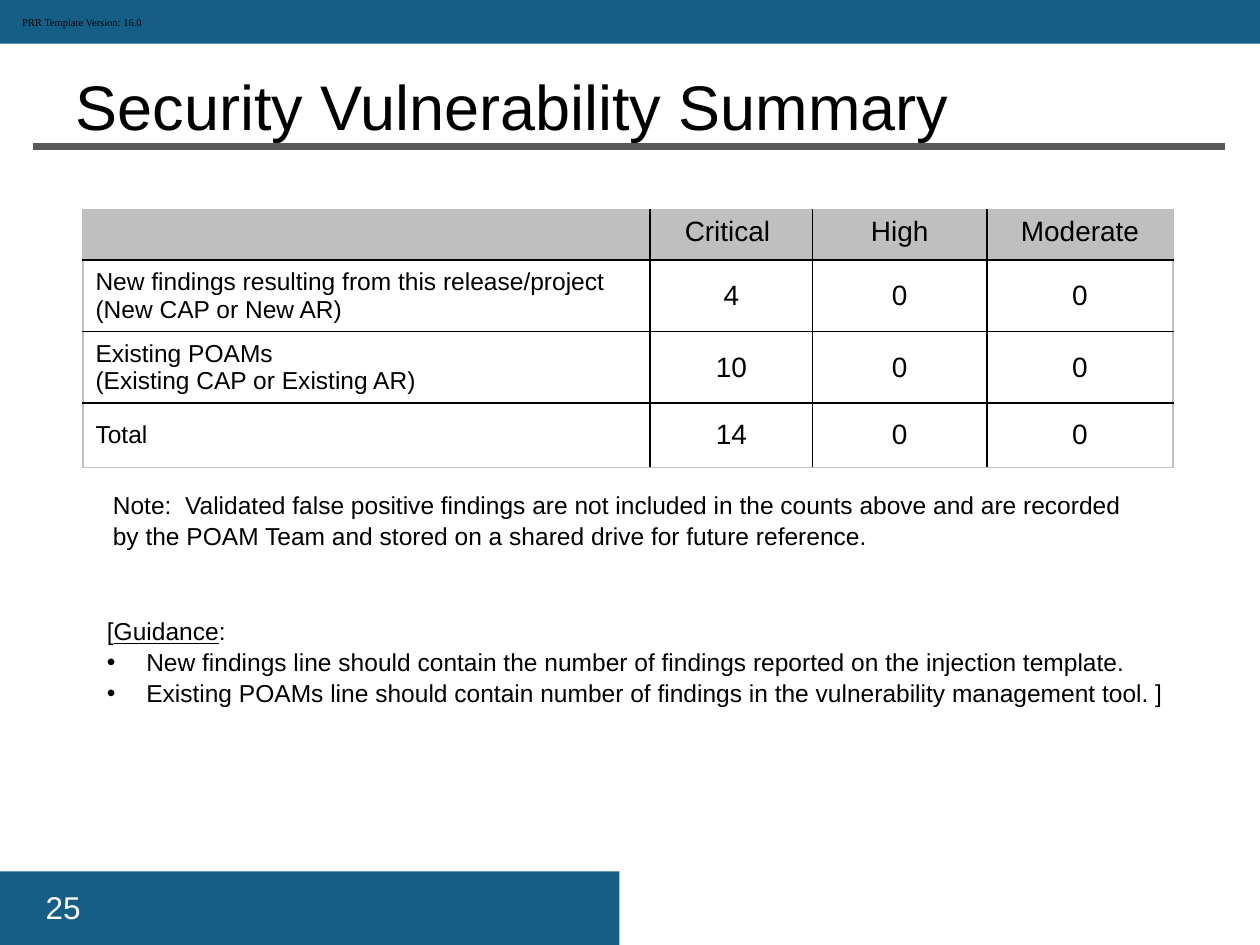
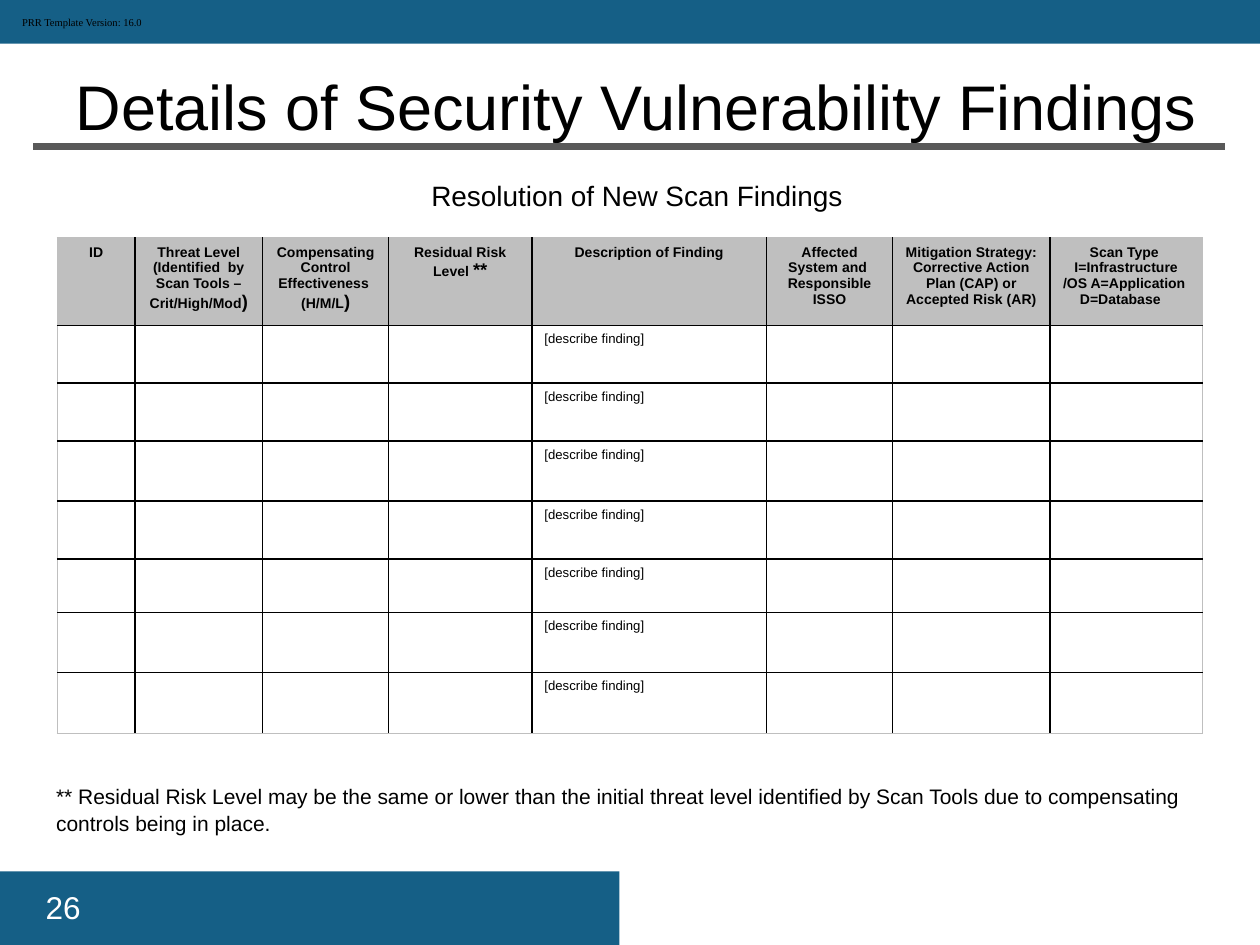
from lxml import etree
from pptx import Presentation
from pptx.dml.color import RGBColor
from pptx.enum.shapes import MSO_CONNECTOR as Connector, MSO_SHAPE as Shape
from pptx.enum.text import MSO_ANCHOR as Anchor, MSO_AUTO_SIZE as AutoSize, PP_ALIGN as Align
from pptx.oxml.ns import qn
from pptx.util import Pt

# Shared look
BLUE = RGBColor(0x15, 0x5F, 0x86)
RULE_GREY = RGBColor(0x59, 0x59, 0x59)
HEADER_GREY = RGBColor(0xBF, 0xBF, 0xBF)
BLACK = RGBColor(0, 0, 0)
WHITE = RGBColor(0xFF, 0xFF, 0xFF)
SANS = "Arial"
SERIF = "Times New Roman"
TITLE_ONLY = 5
PAGE_WIDTH, PAGE_HEIGHT = 720, 540

# Table contents; a tuple is a paragraph made of several spans
SUMMARY_ROWS = [
    [[], ["Critical "], ["High"], ["Moderate"]],
    [["New findings resulting from this release/project", "(New CAP or New AR)"], ["4"], ["0"], ["0"]],
    [["Existing POAMs", "(Existing CAP or Existing AR)"], ["10"], ["0"], ["0"]],
    [["Total"], ["14"], ["0"], ["0"]],
]
SUMMARY_WIDTHS = [324, 93, 99.5, 106.5]
SUMMARY_HEIGHTS = [28.5, 40.7, 40.9, 36.7]

FINDING_HEADERS = [
    ["ID"],
    [("Threat Level (Identified  by Scan Tools – Crit/High/Mod", ")")],
    ["Compensating Control Effectiveness ", ("(H/M/L", ")")],
    [("Residual Risk Level ", "**")],
    ["Description of Finding"],
    ["Affected System and ", "Responsible ISSO"],
    ["Mitigation Strategy:", "Corrective Action Plan (CAP) or Accepted Risk (AR)"],
    ["Scan Type  I=Infrastructure /OS A=Application  D=Database   "],
]
FINDING_WIDTHS = [44.2, 73, 72, 81.8, 134.2, 72, 90, 87]
FINDING_HEIGHTS = [49.9, 33.1, 33.1, 34.3, 33.1, 30.6, 34.2, 35]
DESCRIPTION_COLUMN = 4


def write(frame, paragraphs, size, align=Align.LEFT, color=BLACK, font=SANS,
          bold=False, spacing=1.0, mark_size=None):
    """Fill a frame; spans after the first in a paragraph take mark_size."""
    for index, spans in enumerate(paragraphs):
        para = frame.paragraphs[0] if index == 0 else frame.add_paragraph()
        para.alignment = align
        para.line_spacing = spacing
        for position, text in enumerate([spans] if isinstance(spans, str) else spans):
            span = para.add_run()
            span.text = text
            span.font.size = Pt(mark_size if mark_size and position else size)
            span.font.name = font
            span.font.bold = bold
            span.font.color.rgb = color


def add_text(page, left, top, width, height, paragraphs, size, wrap=True, **style):
    box = page.shapes.add_textbox(Pt(left), Pt(top), Pt(width), Pt(height))
    box.text_frame.word_wrap = wrap
    write(box.text_frame, paragraphs, size, **style)
    return box


def add_band(page, left, top, width, height):
    band = page.shapes.add_shape(Shape.RECTANGLE, Pt(left), Pt(top), Pt(width), Pt(height))
    band.shadow.inherit = False
    band.fill.solid()
    band.fill.fore_color.rgb = BLUE
    band.line.fill.background()


def add_rule(page, left, right, y):
    rule = page.shapes.add_connector(Connector.STRAIGHT, Pt(left), Pt(y), Pt(right), Pt(y))
    rule.line.color.rgb = RULE_GREY
    rule.line.width = Pt(4)
    etree.SubElement(rule._element.spPr, qn("a:effectLst"))


def set_title(page, text):
    title = page.shapes.title
    title.left, title.top, title.width, title.height = Pt(36), Pt(32.4), Pt(673), Pt(51)
    frame = title.text_frame
    frame.auto_size = AutoSize.NONE
    frame.vertical_anchor = Anchor.BOTTOM
    frame.margin_bottom = Pt(1.6)
    write(frame, [text], 36)


def add_page(deck, title, number):
    """Start a page with the bands, rule, number, title and version line."""
    page = deck.slides.add_slide(deck.slide_layouts[TITLE_ONLY])
    add_band(page, 0, 498, 354, 42)
    add_band(page, -1, 0, 722, 25)
    add_rule(page, 19, 700, 83.6)
    add_text(page, 19, 504, 158, 29, [str(number)], 18, color=WHITE)
    set_title(page, title)
    add_text(page, 5.5, 5.8, 84, 14.4, ["PRR Template Version: 16.0"], 6, wrap=False, font=SERIF)
    return page


def set_borders(cell, colors):
    """Draw the cell's left, right, top and bottom edges."""
    properties = cell._tc.get_or_add_tcPr()
    for index, (side, color) in enumerate(zip("LRTB", colors)):
        line = etree.Element(qn(f"a:ln{side}"), w=str(Pt(1)))
        fill = etree.SubElement(line, qn("a:solidFill"))
        etree.SubElement(fill, qn("a:srgbClr"), val=str(color))
        properties.insert(index, line)


def add_grid(page, left, top, widths, heights):
    """Add a table with a grey header, black inner lines and a grey frame."""
    rows, columns = len(heights), len(widths)
    table = page.shapes.add_table(rows, columns, Pt(left), Pt(top),
                                  Pt(sum(widths)), Pt(sum(heights))).table
    for column, width in zip(table.columns, widths):
        column.width = Pt(width)
    for row, height in zip(table.rows, heights):
        row.height = Pt(height)
    for r in range(rows):
        for c in range(columns):
            cell = table.cell(r, c)
            cell.fill.solid()
            cell.fill.fore_color.rgb = WHITE if r else HEADER_GREY
            on_frame = (c == 0, c == columns - 1, r == 0, r == rows - 1)
            set_borders(cell, [HEADER_GREY if edge else BLACK for edge in on_frame])
    return table


def indent(para, left, hanging=0, bullet=None):
    properties = para._p.get_or_add_pPr()
    properties.set("marL", str(Pt(left)))
    properties.set("indent", str(Pt(-hanging)))
    if bullet:
        etree.SubElement(properties, qn("a:buFont"), typeface=SANS)
        etree.SubElement(properties, qn("a:buChar"), char=bullet)


def build_summary(deck):
    page = add_page(deck, "Security Vulnerability Summary", 25)

    # Counts by severity
    table = add_grid(page, 47.4, 119.8, SUMMARY_WIDTHS, SUMMARY_HEIGHTS)
    for r, row in enumerate(SUMMARY_ROWS):
        for c, paragraphs in enumerate(row):
            cell = table.cell(r, c)
            cell.vertical_anchor = Anchor.MIDDLE if r else Anchor.TOP
            write(cell.text_frame, paragraphs, 16 if c else 14,
                  align=Align.CENTER if c else Align.LEFT)

    # Note and guidance
    add_text(page, 57.4, 275.8, 603, 41,
             ["Note:  Validated false positive findings are not included in the counts above and "
              "are recorded by the POAM Team and stored on a shared drive for future reference."],
             14, spacing=1.05)
    guidance = add_text(page, 18, 347.8, 680, 58, [
        ("[", "Guidance", ":"),
        "New findings line should contain the number of findings reported on the injection template.",
        "Existing POAMs line should contain number of findings in the vulnerability management tool. ]",
    ], 14, spacing=1.05)
    heading, *items = guidance.text_frame.paragraphs
    heading.runs[1].font.underline = True
    indent(heading, 36)
    for item in items:
        indent(item, 58.5, hanging=22.5, bullet="•")


def build_findings(deck):
    page = add_page(deck, "Details of Security Vulnerability Findings", 26)
    add_text(page, 25, 98.6, 678, 27, ["Resolution of New Scan Findings"], 16, align=Align.CENTER)

    # Findings to be filled in
    table = add_grid(page, 32.9, 136, FINDING_WIDTHS, FINDING_HEIGHTS)
    for c, paragraphs in enumerate(FINDING_HEADERS):
        write(table.cell(0, c).text_frame, paragraphs, 8, align=Align.CENTER,
              bold=True, mark_size=10.5)
    for r in range(1, len(FINDING_HEIGHTS)):
        write(table.cell(r, DESCRIPTION_COLUMN).text_frame, ["[describe finding]"], 7.5)

    # Footnote
    add_text(page, 25, 443.6, 678, 36,
             ["** Residual Risk Level may be the same or lower than the initial threat level "
              "identified by Scan Tools due to compensating controls being in place."],
             12, spacing=1.05)


def main():
    deck = Presentation()
    deck.slide_width, deck.slide_height = Pt(PAGE_WIDTH), Pt(PAGE_HEIGHT)
    build_summary(deck)
    build_findings(deck)
    deck.save("out.pptx")


if __name__ == "__main__":
    main()
